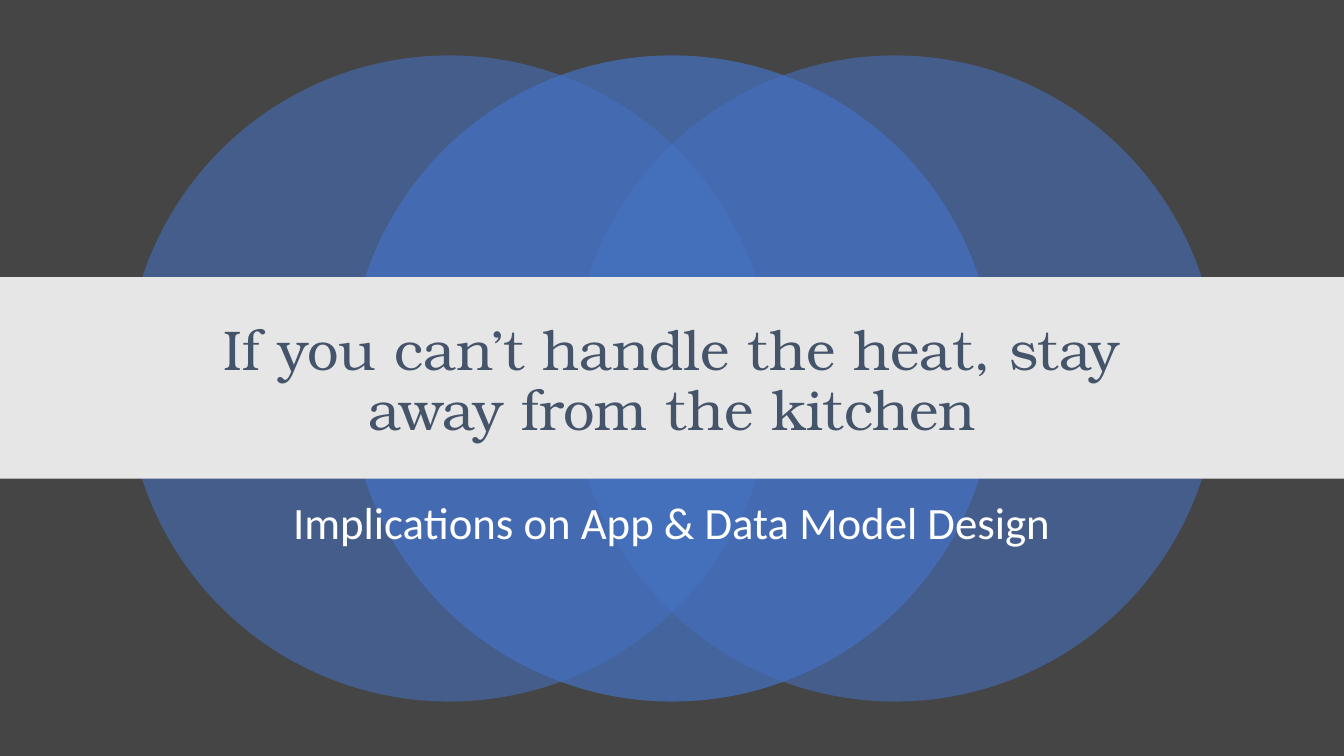
from lxml import etree
from pptx import Presentation
from pptx.dml.color import RGBColor
from pptx.enum.shapes import MSO_SHAPE
from pptx.enum.text import MSO_ANCHOR, MSO_AUTO_SIZE, PP_ALIGN
from pptx.oxml.ns import qn
from pptx.util import Inches, Pt

ELLIPSE, RECTANGLE = MSO_SHAPE.OVAL, MSO_SHAPE.RECTANGLE
TOP, MIDDLE = MSO_ANCHOR.TOP, MSO_ANCHOR.MIDDLE
CENTER, NO_AUTOFIT = PP_ALIGN.CENTER, MSO_AUTO_SIZE.NONE

WIDTH, HEIGHT = 13.33, 7.5
BACKGROUND, BLUE, BAND, SLATE, WHITE = "454545", "4472C4", "E7E6E6", "44546A", "FFFFFF"
DIAMETER, CIRCLE_TOP, CIRCLE_STEP = 6.41, 0.55, 2.21
TEXT_WIDTH = 10


def paint(fill, color, opacity=100):
    """Give a fill a solid hex colour with an opacity in percent."""
    fill.solid()
    fill.fore_color.rgb = RGBColor.from_string(color)
    if opacity < 100:
        rgb = fill._xPr.find(".//" + qn("a:srgbClr"))
        etree.SubElement(rgb, qn("a:alpha"), val=str(opacity * 1000))


def add_plain_shape(slide, preset, box, color, opacity=100):
    """Add a filled shape without line or shadow; box is in inches."""
    shape = slide.shapes.add_shape(preset, *map(Inches, box))
    paint(shape.fill, color, opacity)
    shape.line.fill.background()
    shape.shadow.inherit = False


def add_circle(slide, offset, opacity):
    """Add a circle, offset from the slide's centre in circle steps."""
    left = (WIDTH - DIAMETER) / 2 + offset * CIRCLE_STEP
    add_plain_shape(slide, ELLIPSE, (left, CIRCLE_TOP, DIAMETER, DIAMETER), BLUE, opacity)


def fill_placeholder(slide, holder, text, top, height, font, size, color, anchor, before=0):
    """Centre a placeholder, write its text and bring it to the front."""
    holder.left, holder.top = Inches((WIDTH - TEXT_WIDTH) / 2), Inches(top)
    holder.width, holder.height = Inches(TEXT_WIDTH), Inches(height)
    frame = holder.text_frame
    frame.word_wrap = True
    frame.auto_size = NO_AUTOFIT
    frame.vertical_anchor = anchor
    paragraph = frame.paragraphs[0]
    paragraph.alignment = CENTER
    paragraph.line_spacing = 0.9
    paragraph.space_before = Pt(before)
    run = paragraph.add_run()
    run.text = text
    run.font.name, run.font.size = font, Pt(size)
    run.font.color.rgb = RGBColor.from_string(color)
    slide.shapes.element.append(holder.element)


def main():
    """Build the title slide and save it."""
    deck = Presentation()
    deck.slide_width, deck.slide_height = Inches(WIDTH), Inches(HEIGHT)
    slide = deck.slides.add_slide(deck.slide_layouts[0])
    paint(slide.background.fill, BACKGROUND)
    title, subtitle = slide.shapes.title, slide.placeholders[1]

    for offset, opacity in ((-1, 55), (1, 55), (0, 70)):
        add_circle(slide, offset, opacity)
    fill_placeholder(slide, subtitle, "Implications on App & Data Model Design",
                     4.92, 0.83, "Calibri", 32, WHITE, TOP, before=10)
    add_plain_shape(slide, RECTANGLE, (0, 2.75, WIDTH, 2), BAND)
    fill_placeholder(slide, title, "If you can’t handle the heat, stay away from the kitchen",
                     3.04, 1.51, "TeX Gyre Bonum", 40, SLATE, MIDDLE)
    deck.save("out.pptx")


main()
